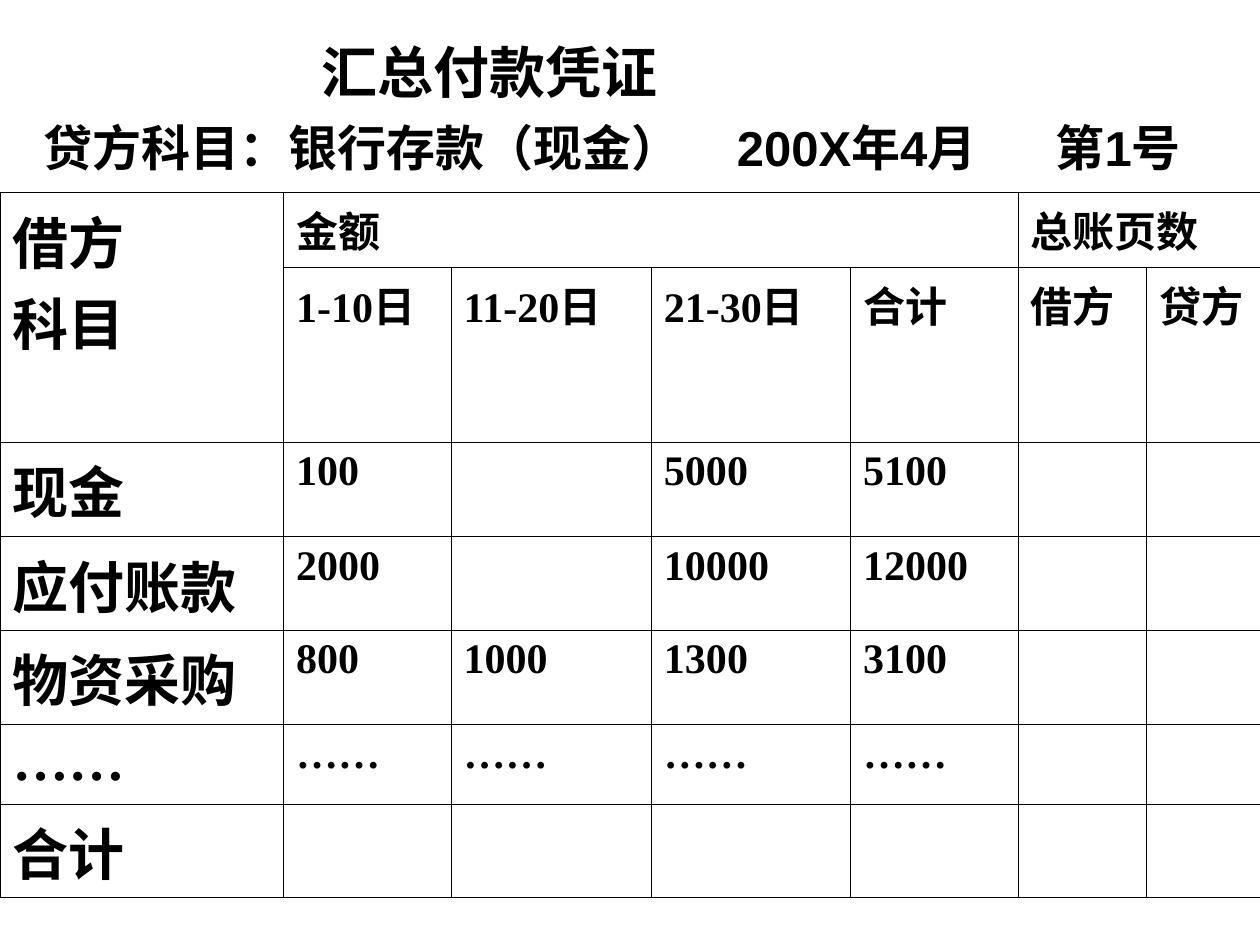
from lxml import etree
from pptx import Presentation
from pptx.dml.color import RGBColor
from pptx.oxml.ns import qn
from pptx.util import Inches, Pt

BLACK = RGBColor(0, 0, 0)
THIN, THICK = Pt(0.45), Pt(1.08)

# Content: text, size, left margin, space before, tab stops
HEADS = [
    ("汇总付款凭证", 32, 2.2, 0, []),
    ("贷方科目：银行存款（现金）\t200X年4月\t第1号", 28, 0, 7, [5.5, 8.03]),
]
ROWS = [
    ["借方\n科目", "金额", "", "", "", "总账页数", ""],
    ["", "1-10日", "11-20日", "21-30日", "合计", "借方", "贷方"],
    ["现金", "100", "", "5000", "5100", "", ""],
    ["应付账款", "2000", "", "10000", "12000", "", ""],
    ["物资采购", "800", "1000", "1300", "3100", "", ""],
    ["……", "……", "……", "……", "……", "", ""],
    ["合计", "", "", "", "", "", ""],
]
WIDTHS = [2.25, 1.33, 1.59, 1.58, 1.33, 1.02, 1.07]
HEIGHTS = [0.59, 1.39, 0.75, 0.74, 0.75, 0.63, 0.74]
MERGES = [((0, 0), (1, 0)), ((0, 1), (0, 4)), ((0, 5), (0, 6))]


def style(font, size, name):
    look = {"size": Pt(size), "name": name, "bold": True}
    for key, value in look.items():
        setattr(font, key, value)
    font.color.rgb = BLACK


def add_tabs(para, stops):
    tabs = etree.SubElement(para._p.get_or_add_pPr(), qn("a:tabLst"))
    for stop in stops:
        etree.SubElement(tabs, qn("a:tab"), pos=str(Inches(stop)), algn="l")


def add_edges(cell, widths):
    props = cell._tc.get_or_add_tcPr()
    for i, (side, width) in enumerate(widths.items()):
        line = etree.Element(qn("a:ln" + side), w=str(width))
        fill = etree.SubElement(line, qn("a:solidFill"))
        etree.SubElement(fill, qn("a:srgbClr"), val=str(BLACK))
        props.insert(i, line)


def add_heads(slide):
    box = slide.shapes.add_textbox(
        Inches(0.25), Inches(0.25), Inches(9.75), Inches(6.33))
    frame = box.text_frame
    frame.word_wrap = True
    for i, (text, size, left, gap, stops) in enumerate(HEADS):
        para = frame.add_paragraph() if i else frame.paragraphs[0]
        para.text = text
        if gap:
            para.space_before = Pt(gap)
        if left:
            para._p.get_or_add_pPr().set("marL", str(Inches(left)))
        if stops:
            add_tabs(para, stops)
        style(para.font, size, "Arial")


def add_grid(slide):
    rows, cols = len(ROWS), len(WIDTHS)
    grid = slide.shapes.add_table(
        rows, cols, Inches(0), Inches(1.53),
        Inches(sum(WIDTHS)), Inches(sum(HEIGHTS))).table
    grid.first_row = grid.horz_banding = False
    for col, width in zip(grid.columns, WIDTHS):
        col.width = Inches(width)
    for row, height in zip(grid.rows, HEIGHTS):
        row.height = Inches(height)

    # Cell text, with thick lines at the sides and the foot
    for r, row in enumerate(ROWS):
        for c, text in enumerate(row):
            cell = grid.cell(r, c)
            cell.fill.background()
            add_edges(cell, {
                "L": THICK if c == 0 else THIN,
                "R": THICK if c == cols - 1 else THIN,
                "T": THIN,
                "B": THICK if r == rows - 1 else THIN,
            })
            if text:
                cell.text = text
                for para in cell.text_frame.paragraphs:
                    style(para.font, 24 if c else 32, "Times New Roman")

    for start, end in MERGES:
        grid.cell(*start).merge(grid.cell(*end))


def main():
    deck = Presentation()
    deck.slide_width, deck.slide_height = Inches(10), Inches(7.5)
    slide = deck.slides.add_slide(deck.slide_layouts[6])
    add_heads(slide)
    add_grid(slide)
    deck.save("out.pptx")


if __name__ == "__main__":
    main()
